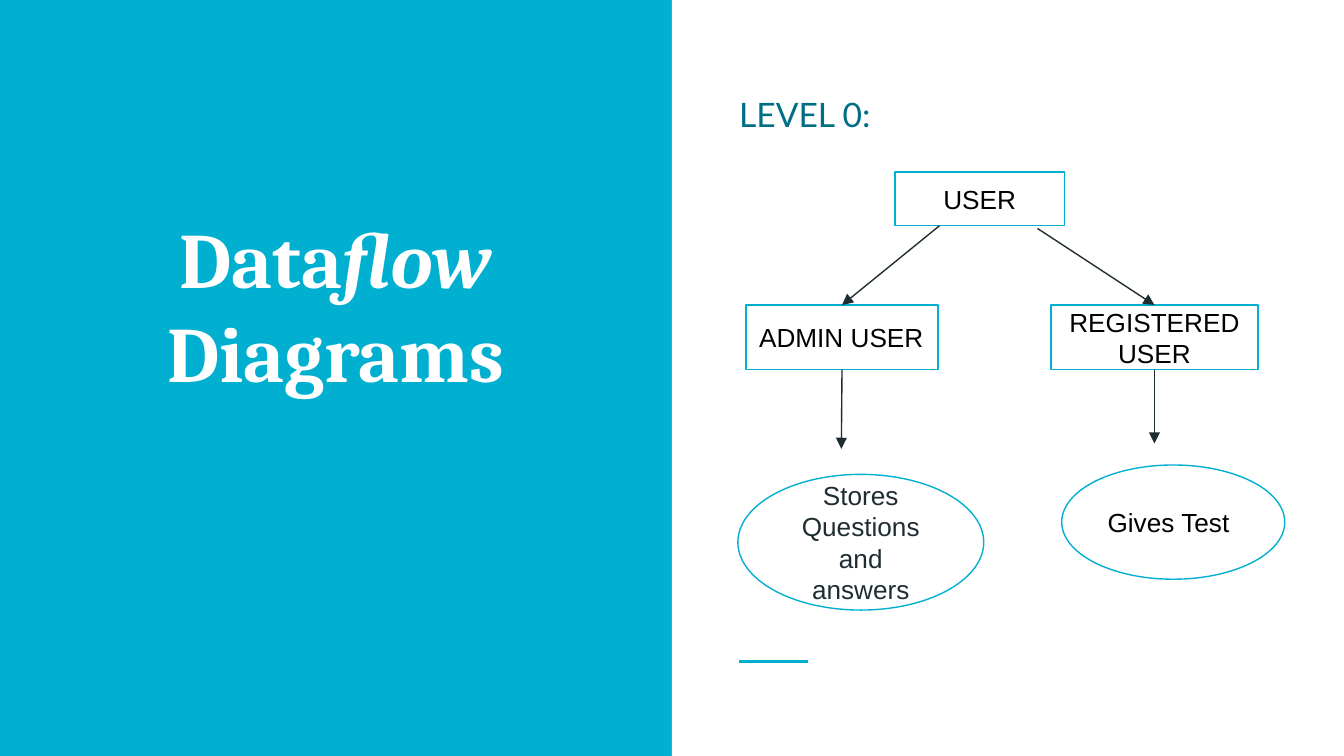
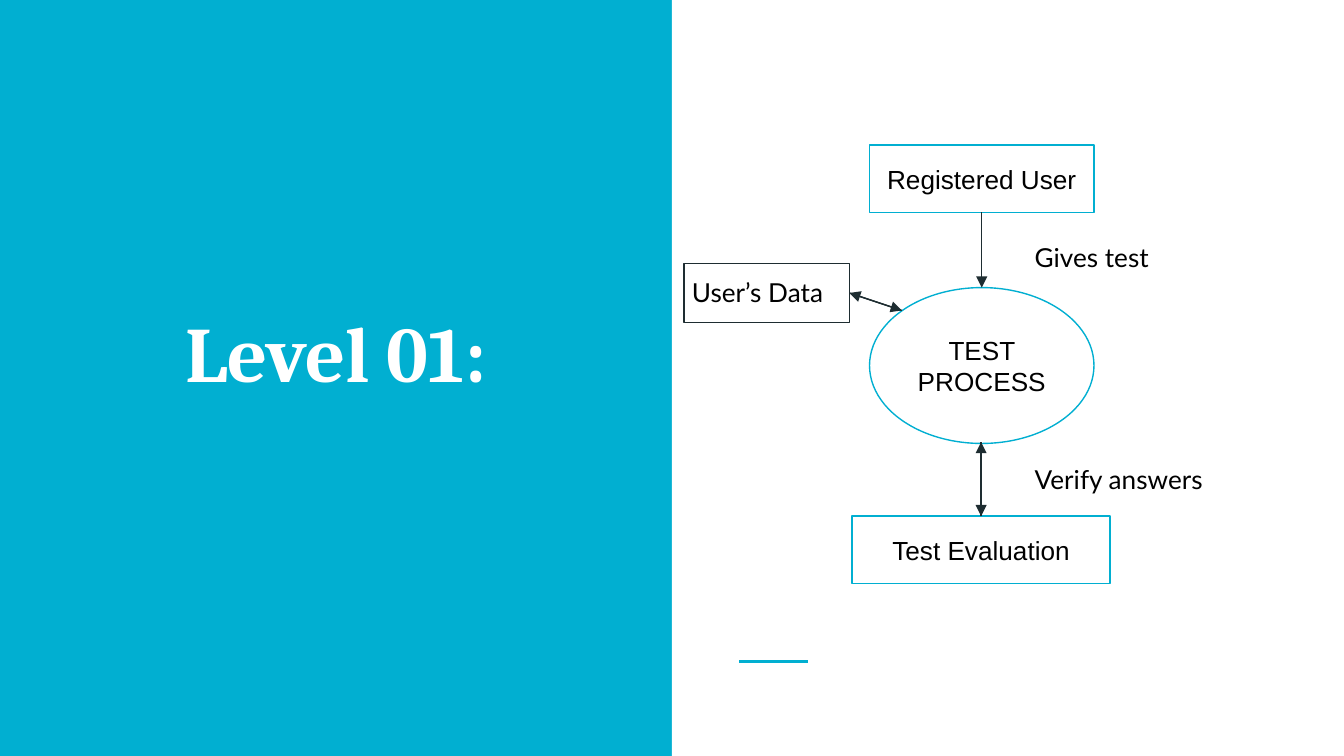
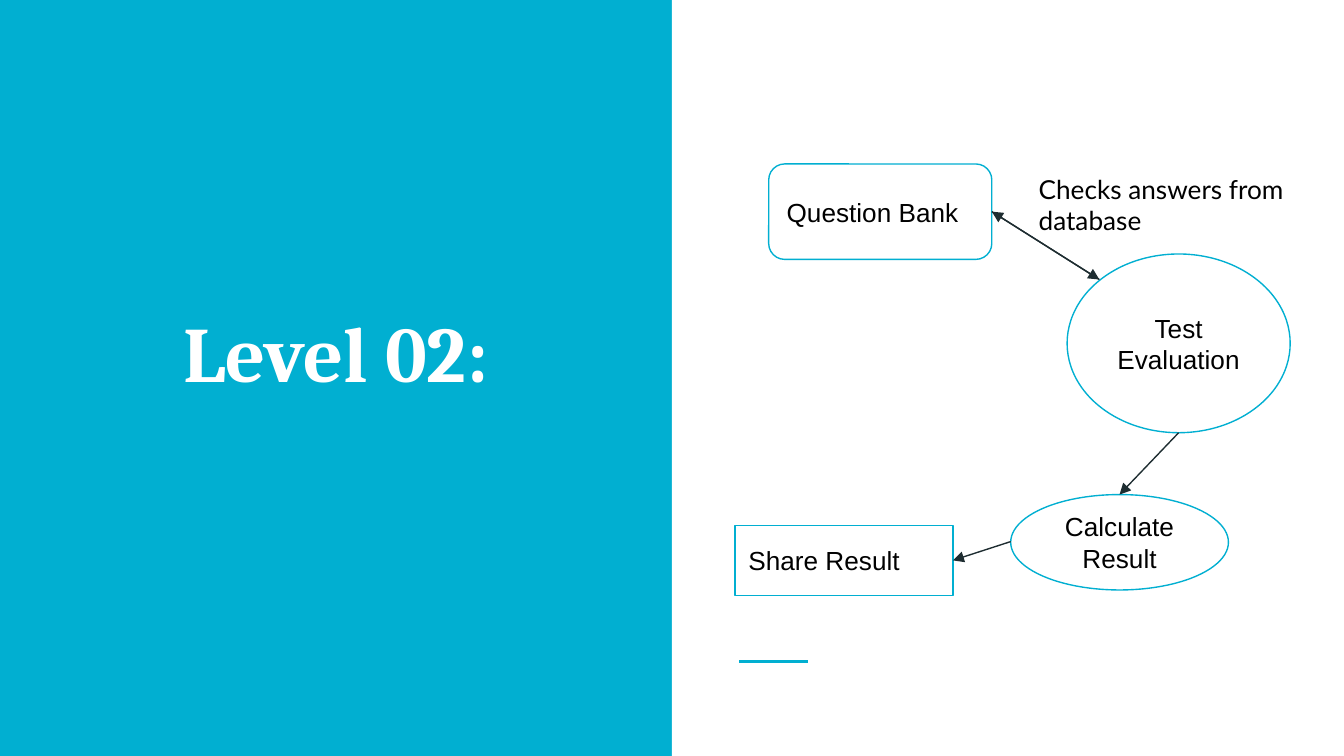
from dataclasses import dataclass

from lxml.etree import SubElement
from pptx import Presentation
from pptx.dml.color import RGBColor
from pptx.enum.shapes import MSO_CONNECTOR as Link, MSO_SHAPE as Form
from pptx.enum.text import MSO_ANCHOR as Anchor, MSO_AUTO_SIZE as Fit, PP_ALIGN as Align
from pptx.oxml.ns import qn
from pptx.shapes.autoshape import Shape
from pptx.util import Inches, Pt

TOP, LEFT, BOTTOM, RIGHT = range(4)
TITLE_AND_BODY, TITLE_ONLY = 1, 5


@dataclass(frozen=True)
class Theme:
    """Colours, fonts and sizes shared by the slides."""

    accent: RGBColor = RGBColor.from_string("01AFD1")
    heading: RGBColor = RGBColor.from_string("006F85")
    ink: RGBColor = RGBColor.from_string("1E2D31")
    black: RGBColor = RGBColor.from_string("000000")
    white: RGBColor = RGBColor.from_string("FFFFFF")
    title_font: str = "Cambria"
    label_font: str = "Lato"
    node_font: str = "Arial"
    title_size: Pt = Pt(42)
    heading_size: Pt = Pt(18)
    text_size: Pt = Pt(14)
    thin: Pt = Pt(0.75)
    thick: Pt = Pt(1.5)


THEME = Theme()


def place(shape, box):
    """Move a shape to a box given in inches."""
    shape.left, shape.top, shape.width, shape.height = map(Inches, box)


def set_frame(frame, anchor):
    """Give a text frame even insets, wrapping and an anchor."""
    frame.margin_left = frame.margin_right = Inches(0.1)
    frame.margin_top = frame.margin_bottom = Inches(0.1)
    frame.word_wrap = True
    frame.auto_size = Fit.NONE
    frame.vertical_anchor = anchor


def add_run(paragraph, text, font, size, color, bold=False, italic=False):
    """Append one formatted run to a paragraph."""
    run = paragraph.add_run()
    run.text = text
    run.font.name = font
    run.font.size = size
    run.font.color.rgb = color
    run.font.bold = bold
    run.font.italic = italic


def style_line(line, color, width):
    """Strip the shadow of a connector and set its stroke."""
    SubElement(line.element.spPr, qn("a:effectLst"))
    line.line.color.rgb = color
    line.line.width = width


def set_up_master(prs, slide):
    """Put the background, the right panel and its accent rule on the master."""
    fill = prs.slide_master.background.fill
    fill.solid()
    fill.fore_color.rgb = THEME.accent
    panel = slide.shapes.add_shape(Form.RECTANGLE, Inches(5), 0, Inches(5), prs.slide_height)
    panel.shadow.inherit = False
    panel.fill.solid()
    panel.fill.fore_color.rgb = THEME.white
    panel.line.fill.background()
    rule = slide.shapes.add_connector(
        Link.STRAIGHT, Inches(5.5), Inches(4.92), Inches(6.01), Inches(4.92))
    style_line(rule, THEME.accent, THEME.thick)
    master_tree = prs.slide_master.shapes.element
    for position, part in enumerate((panel, rule), start=2):
        master_tree.insert(position, part.element)


def write_title(slide, *lines):
    """Fill the title; each line is a list of (text, italic) runs."""
    title = slide.shapes.title
    place(title, (0.29, 1.19, 4.42, 1.87))
    frame = title.text_frame
    set_frame(frame, Anchor.BOTTOM)
    for index, line in enumerate(lines):
        paragraph = frame.add_paragraph() if index else frame.paragraphs[0]
        paragraph.alignment = Align.CENTER
        for text, italic in line:
            add_run(paragraph, text, THEME.title_font, THEME.title_size,
                    THEME.white, bold=True, italic=italic)


def write_heading(slide, text):
    """Fill the body placeholder with an unbulleted heading."""
    heading = slide.placeholders[1]
    place(heading, (5.4, 0.16, 4.2, 1.33))
    set_frame(heading.text_frame, Anchor.MIDDLE)
    paragraph = heading.text_frame.paragraphs[0]
    paragraph.alignment = Align.LEFT
    paragraph.line_spacing = 1.15
    paragraph.space_before = Pt(0)
    paragraph.space_after = Pt(16)
    properties = paragraph._p.get_or_add_pPr()
    properties.set("marL", "0")
    properties.set("indent", "0")
    SubElement(properties, qn("a:buNone"))
    add_run(paragraph, text, THEME.label_font, THEME.heading_size, THEME.heading)


def add_node(slide, form, box, text="", align=Align.CENTER, color=THEME.black,
             outline=THEME.accent):
    """Add an outlined diagram node and return it."""
    node = slide.shapes.add_shape(form, *map(Inches, box))
    node.shadow.inherit = False
    node.fill.background()
    node.line.color.rgb = outline
    node.line.width = THEME.thin
    set_frame(node.text_frame, Anchor.MIDDLE)
    if text:
        paragraph = node.text_frame.paragraphs[0]
        paragraph.alignment = align
        add_run(paragraph, text, THEME.node_font, THEME.text_size, color)
    return node


def add_label(slide, box, text):
    """Add a free-standing label."""
    label = slide.shapes.add_textbox(*map(Inches, box))
    set_frame(label.text_frame, Anchor.TOP)
    label.text_frame.auto_size = Fit.SHAPE_TO_FIT_TEXT
    add_run(label.text_frame.paragraphs[0], text, THEME.label_font,
            THEME.text_size, THEME.black)


def add_flow(slide, start, end):
    """Draw an arrow between ends given as (node, side) or as (x, y) inches."""
    flow = slide.shapes.add_connector(Link.STRAIGHT, 0, 0, 0, 0)
    if isinstance(start[0], Shape):
        flow.begin_connect(*start)
    else:
        flow.begin_x, flow.begin_y = map(Inches, start)
    if isinstance(end[0], Shape):
        flow.end_connect(*end)
    else:
        flow.end_x, flow.end_y = map(Inches, end)
    style_line(flow, THEME.ink, THEME.thin)
    SubElement(flow.element.spPr.find(qn("a:ln")), qn("a:tailEnd"), type="triangle")


def add_exchange(slide, first, second):
    """Draw a flow in each direction."""
    add_flow(slide, first, second)
    add_flow(slide, second, first)


def build_level_0(slide):
    """Draw the user roles and what each does."""
    write_title(slide, [("Data", False), ("flow", True)], [("Diagrams", False)])
    write_heading(slide, "LEVEL 0:")
    add_node(slide, Form.RECTANGLE, (6.66, 1.28, 1.26, 0.4), "USER")
    admin = add_node(slide, Form.RECTANGLE, (5.55, 2.27, 1.43, 0.48), "ADMIN USER", Align.LEFT)
    registered = add_node(slide, Form.RECTANGLE, (7.82, 2.27, 1.54, 0.48), "REGISTERED USER")
    add_flow(slide, (6.99, 1.68), (admin, TOP))
    add_flow(slide, (7.72, 1.7), (registered, TOP))
    add_node(slide, Form.OVAL, (5.49, 3.53, 1.83, 1.01), "Stores Questions and answers",
             color=THEME.ink)
    add_node(slide, Form.FLOWCHART_CONNECTOR, (7.9, 3.46, 1.66, 0.85), "Gives Test", Align.LEFT)
    add_flow(slide, (admin, BOTTOM), (6.26, 3.34))
    add_flow(slide, (registered, BOTTOM), (8.59, 3.3))


def build_level_1(slide):
    """Draw the test process and its data."""
    write_title(slide, [("Level 01:", False)])
    registered = add_node(slide, Form.RECTANGLE, (6.47, 1.08, 1.67, 0.5), "Registered User")
    process = add_node(slide, Form.OVAL, (6.47, 2.14, 1.67, 1.16), "TEST PROCESS")
    evaluation = add_node(slide, Form.RECTANGLE, (6.34, 3.84, 1.92, 0.5), "Test Evaluation")
    add_exchange(slide, (7.3, 3.29), (evaluation, TOP))
    add_flow(slide, (registered, BOTTOM), (process, TOP))
    add_label(slide, (7.6, 1.7, 1.14, 0.44), "Gives test")
    add_label(slide, (7.6, 3.35, 1.72, 0.44), "Verify answers")
    add_label(slide, (5.05, 1.96, 1.27, 0.44), "User’s Data")
    user_data = add_node(slide, Form.RECTANGLE, (5.09, 1.96, 1.23, 0.44), outline=THEME.ink)
    add_exchange(slide, (user_data, RIGHT), (6.71, 2.31))


def build_level_2(slide):
    """Draw the evaluation against the question bank and its result."""
    write_title(slide, [("Level 02:", False)])
    add_node(slide, Form.OVAL, (7.94, 1.89, 1.66, 1.33), "Test Evaluation")
    calculation = add_node(slide, Form.OVAL, (7.52, 3.68, 1.62, 0.71), "Calculate Result")
    sharing = add_node(slide, Form.RECTANGLE, (5.47, 3.91, 1.62, 0.52), "Share Result", Align.LEFT)
    bank = add_node(slide, Form.ROUNDED_RECTANGLE, (5.72, 1.22, 1.66, 0.71),
                    "Question Bank", Align.LEFT)
    add_exchange(slide, (8.18, 2.08), (bank, RIGHT))
    add_flow(slide, (8.77, 3.22), (calculation, TOP))
    add_flow(slide, (7.52, 4.03), (sharing, RIGHT))
    add_label(slide, (7.63, 1.19, 2.14, 0.67), "Checks answers from database")


def main():
    """Build and save the three slides."""
    prs = Presentation()
    prs.slide_width = Inches(10)
    prs.slide_height = prs.slide_width * 9 // 16
    pages = ((TITLE_AND_BODY, build_level_0), (TITLE_ONLY, build_level_1),
             (TITLE_ONLY, build_level_2))
    for number, (layout, build) in enumerate(pages):
        slide = prs.slides.add_slide(prs.slide_layouts[layout])
        if number == 0:
            set_up_master(prs, slide)
        build(slide)
    prs.save("out.pptx")


if __name__ == "__main__":
    main()
